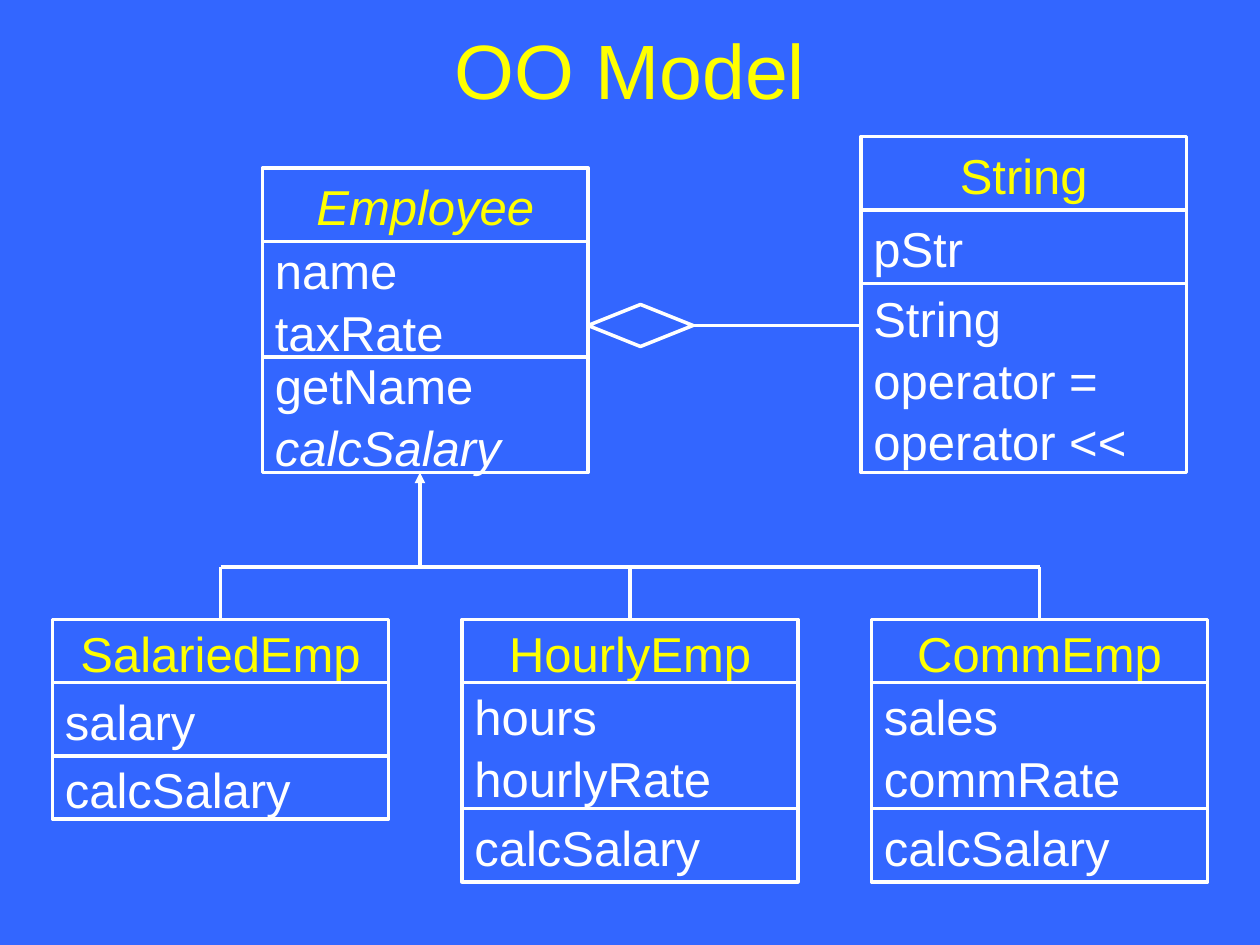
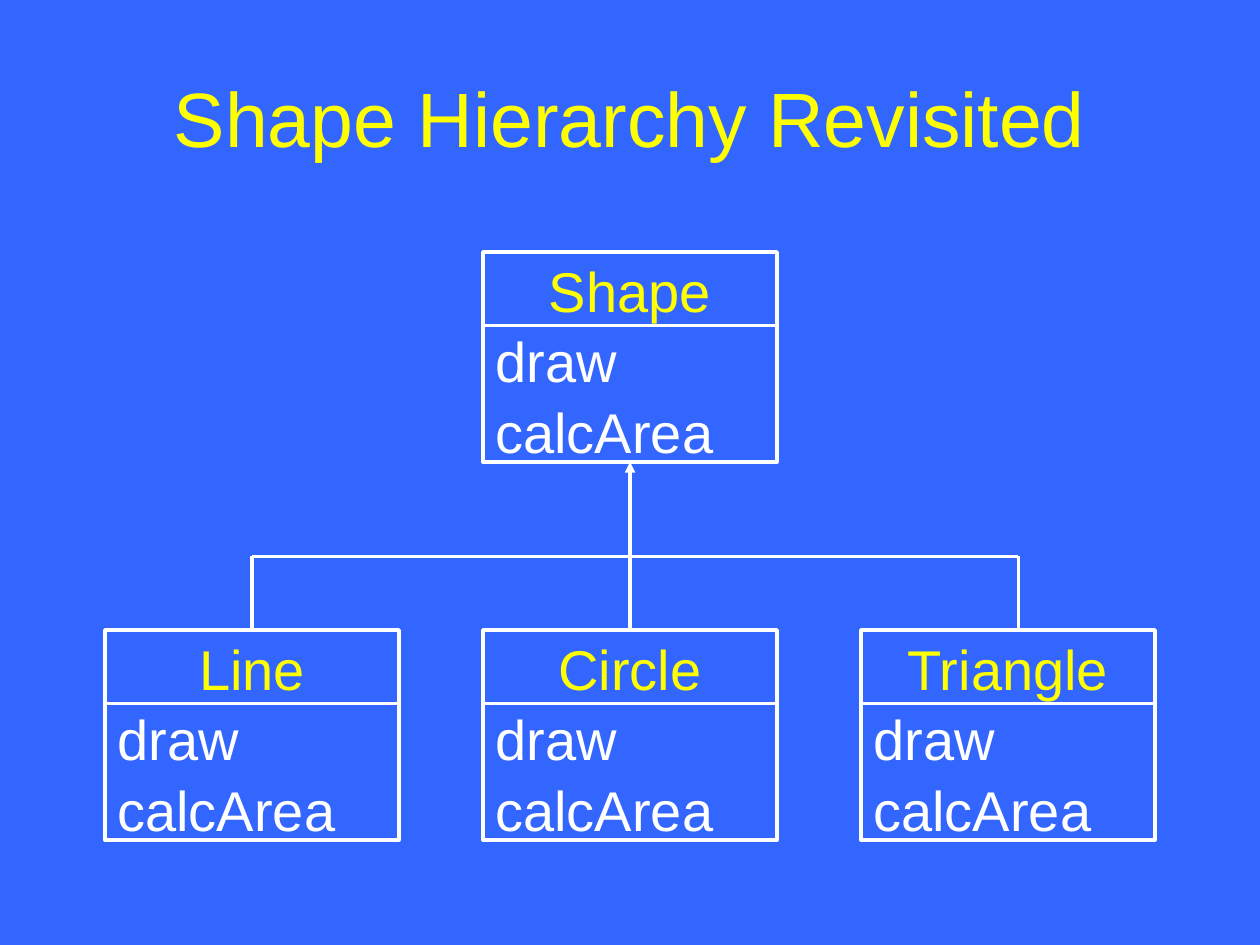
from lxml.etree import SubElement
from pptx import Presentation
from pptx.dml.color import RGBColor
from pptx.enum.shapes import MSO_CONNECTOR, MSO_SHAPE
from pptx.enum.text import MSO_ANCHOR, MSO_AUTO_SIZE, PP_ALIGN
from pptx.oxml.ns import qn
from pptx.util import Pt

BLUE, YELLOW, WHITE = "3366FF", "FFFF00", "FFFFFF"
FONT = "Arial"
ABSTRACT = {"Employee"}
ABSTRACT_METHODS = {("Employee", "calcSalary")}

SHAPE_METHODS = (["draw", "calcArea"], 78)
DIAGRAMS = [
    {
        "title": "OO Model", "title_top": -6, "size": 28,
        "classes": [
            ("Employee", 150, 96, 186, 42, [(["name", "taxRate"], 66), (["getName", "calcSalary"], 66)]),
            ("String", 492, 78, 186, 42, [(["pStr"], 42), (["String", "operator =", "operator <<"], 108)]),
        ],
        "children": [
            ("SalariedEmp", [(["salary"], 42), (["calcSalary"], 36)]),
            ("HourlyEmp", [(["hours", "hourlyRate"], 72), (["calcSalary"], 42)]),
            ("CommEmp", [(["sales", "commRate"], 72), (["calcSalary"], 42)]),
        ],
        "grid": {"left": 30, "top": 354, "width": 192, "step": 234, "header": 36},
        "bus": 324, "drops": [126, 360, 594], "arrow": (240, 324, 270),
        "aggregation": (336, 186, 60, 24, 492),
    },
    {
        "title": "Shape Hierarchy Revisited", "title_top": 21.6, "size": 32,
        "classes": [("Shape", 276, 144, 168, 42, [SHAPE_METHODS])],
        "children": [(name, [SHAPE_METHODS]) for name in ("Line", "Circle", "Triangle")],
        "grid": {"left": 60, "top": 360, "width": 168, "step": 216, "header": 42},
        "bus": 318, "drops": [144, 360, 582], "arrow": (360, 330, 264),
    },
]


def color(value):
    return RGBColor.from_string(value)


def add_run(paragraph, text, size, text_color, italic=False):
    run = paragraph.add_run()
    run.text = text
    run.font.name = FONT
    run.font.size = Pt(size)
    run.font.italic = italic
    run.font.color.rgb = color(text_color)


def outline(slide, kind, left, top, width, height):
    shape = slide.shapes.add_shape(kind, Pt(left), Pt(top), Pt(width), Pt(height))
    shape.shadow.inherit = False
    shape.fill.background()
    shape.line.color.rgb = color(WHITE)
    shape.line.width = Pt(2)
    return shape


def add_section(slide, bounds, lines, size, text_color, alignment):
    frame = outline(slide, MSO_SHAPE.RECTANGLE, *bounds).text_frame
    frame.word_wrap = False
    frame.vertical_anchor = MSO_ANCHOR.MIDDLE
    for index, (text, italic) in enumerate(lines):
        paragraph = frame.paragraphs[0] if index == 0 else frame.add_paragraph()
        paragraph.alignment = alignment
        paragraph.line_spacing = 1.05
        add_run(paragraph, text, size, text_color, italic)


def add_class(slide, size, name, left, top, width, header, sections):
    add_section(slide, (left, top, width, header), [(name, name in ABSTRACT)], size, YELLOW, PP_ALIGN.CENTER)
    top += header
    for members, height in sections:
        lines = [(member, (name, member) in ABSTRACT_METHODS) for member in members]
        add_section(slide, (left, top, width, height), lines, size, WHITE, PP_ALIGN.LEFT)
        top += height


def side_middles(shape):
    center, middle = shape.left + shape.width // 2, shape.top + shape.height // 2
    return [(center, shape.top), (shape.left, middle),
            (center, shape.top + shape.height), (shape.left + shape.width, middle)]


def add_line(slide, start, end, arrow=False):
    """Draw a line and join each end that meets the middle of a shape's side."""
    ends = [tuple(Pt(value) for value in point) for point in (start, end)]
    outlines = [shape for shape in slide.shapes if not shape.is_placeholder and hasattr(shape, "adjustments")]
    line = slide.shapes.add_connector(MSO_CONNECTOR.STRAIGHT, *ends[0], *ends[1])
    line.line.color.rgb = color(WHITE)
    line.line.width = Pt(2)
    if arrow:
        SubElement(line.line._get_or_add_ln(), qn("a:tailEnd"), type="triangle")
    SubElement(line._element.spPr, qn("a:effectLst"))
    for point, join in zip(ends, (line.begin_connect, line.end_connect)):
        for shape in outlines:
            if point in side_middles(shape):
                join(shape, side_middles(shape).index(point))
                break


def add_title(slide, text, top):
    title = slide.shapes.title
    title.left, title.top, title.width, title.height = Pt(36), Pt(top), Pt(648), Pt(90)
    frame = title.text_frame
    frame.auto_size = MSO_AUTO_SIZE.NONE
    frame.vertical_anchor = MSO_ANCHOR.MIDDLE
    frame.paragraphs[0].alignment = PP_ALIGN.CENTER
    add_run(frame.paragraphs[0], text, 44, YELLOW)


def add_diagram(presentation, diagram):
    slide = presentation.slides.add_slide(presentation.slide_layouts[5])
    add_title(slide, diagram["title"], diagram["title_top"])
    for parent in diagram["classes"]:
        add_class(slide, diagram["size"], *parent)
    grid = diagram["grid"]
    for column, (name, sections) in enumerate(diagram["children"]):
        left = grid["left"] + column * grid["step"]
        add_class(slide, diagram["size"], name, left, grid["top"], grid["width"], grid["header"], sections)

    bus, drops = diagram["bus"], diagram["drops"]
    arrow_x, foot, tip = diagram["arrow"]
    add_line(slide, (arrow_x, foot), (arrow_x, tip), arrow=True)
    add_line(slide, (drops[0], bus), (drops[-1], bus))
    for x in drops:
        add_line(slide, (x, foot if x == arrow_x else bus), (x, grid["top"]))

    if "aggregation" in diagram:
        left, middle, width, height, owner = diagram["aggregation"]
        outline(slide, MSO_SHAPE.DIAMOND, left, middle - height / 2, width, height)
        add_line(slide, (left + width, middle), (owner, middle))


def main():
    presentation = Presentation()
    presentation.slide_width, presentation.slide_height = Pt(720), Pt(540)
    background = presentation.slide_master.background.fill
    background.solid()
    background.fore_color.rgb = color(BLUE)
    for diagram in DIAGRAMS:
        add_diagram(presentation, diagram)
    presentation.save("out.pptx")


if __name__ == "__main__":
    main()
